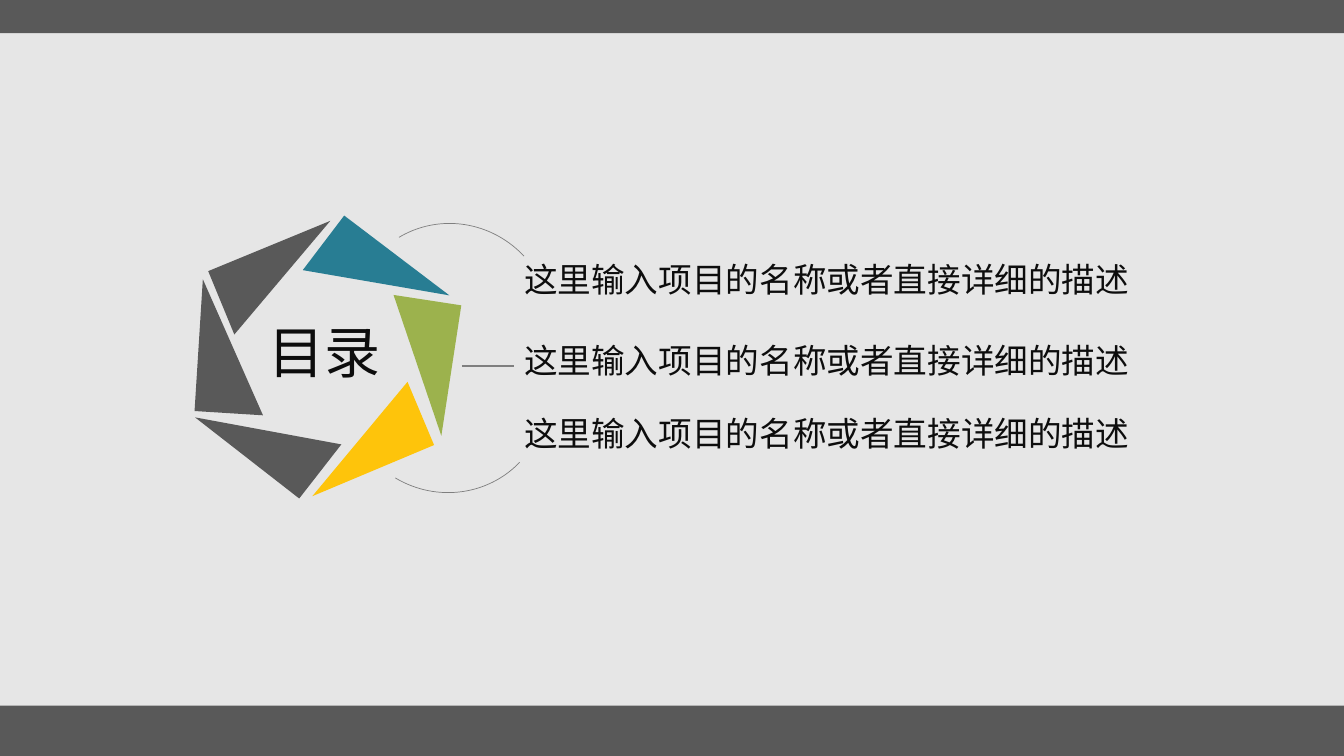
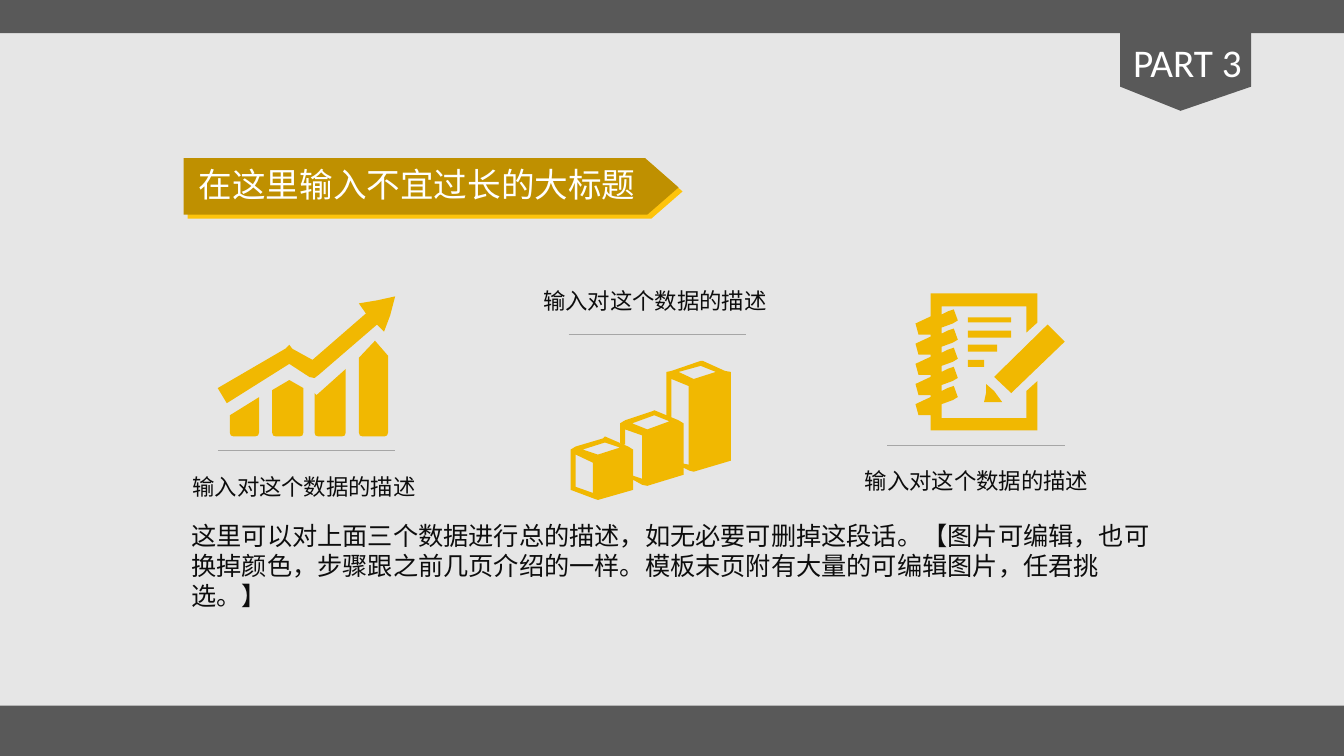
from lxml import etree
from pptx import Presentation
from pptx import util as u
from pptx.dml import color
from pptx.enum import shapes, text
from pptx.oxml import ns

Inches = u.Inches

# Shared look
BACKGROUND, DARK, INK, WHITE = "E6E6E6", "595959", "0D0D0D", "FFFFFF"
TEAL, GREEN, YELLOW, GOLD, OCHRE = "287D93", "9CB24D", "FEC40B", "F1B801", "BF9000"
GREY, LIGHT_GREY = "7F7F7F", "A6A6A6"
CJK, LATIN = "Noto Sans CJK SC", "Calibri"
BANDS = [(0, 0, 13.33, 0.33), (0, 7, 13.33, 0.5)]
FRAME_FORMAT = {
    "word_wrap": True,
    "auto_size": text.MSO_AUTO_SIZE.SHAPE_TO_FIT_TEXT,
    "vertical_anchor": text.MSO_ANCHOR.TOP,
    "margin_left": Inches(0.1), "margin_right": Inches(0.1),
    "margin_top": Inches(0.05), "margin_bottom": Inches(0.05),
}


def rgb(value):
    return color.RGBColor.from_string(value)


def set_all(target, values):
    for name, value in values.items():
        setattr(target, name, value)


def box(*lengths):
    return [Inches(length) for length in lengths]


# Element kinds
def paint(shape, fill):
    shape.shadow.inherit = False
    shape.fill.solid()
    shape.fill.fore_color.rgb = rgb(fill)
    shape.line.fill.background()


def add_filled(slide, kind, position, fill, rotation=0):
    shape = slide.shapes.add_shape(kind, *box(*position))
    shape.rotation = rotation
    paint(shape, fill)


def write_text(shape, words, size, ink=INK, font=CJK):
    frame = shape.text_frame
    set_all(frame, FRAME_FORMAT)
    paragraph = frame.paragraphs[0]
    paragraph.alignment = text.PP_ALIGN.LEFT
    run = paragraph.add_run()
    run.text = words
    set_all(run.font, {"size": u.Pt(size), "name": font})
    run.font.color.rgb = rgb(ink)
    etree.SubElement(run._r.get_or_add_rPr(), ns.qn("a:ea"), typeface=font)


def add_text(slide, position, words, size, **style):
    write_text(slide.shapes.add_textbox(*box(*position)), words, size, **style)


def place_title(slide, position, words, size, **style):
    title = slide.shapes.title
    set_all(title, dict(zip(("left", "top", "width", "height"), box(*position))))
    write_text(title, words, size, **style)
    # Bring the title in front of the shapes drawn so far
    title.element.getparent().append(title.element)


def add_line(slide, left, top, width, ink, weight):
    line = slide.shapes.add_connector(
        shapes.MSO_CONNECTOR.STRAIGHT, *box(left, top, left + width, top))
    line.line.color.rgb = rgb(ink)
    line.line.width = u.Pt(weight)
    etree.SubElement(line._element.spPr, ns.qn("a:effectLst"))


def add_arc(slide, position, rotation, sweep_end):
    arc = slide.shapes.add_shape(shapes.MSO_SHAPE.ARC, *box(*position))
    arc.shadow.inherit = False
    arc.rotation = rotation
    for index, degrees in enumerate((270, sweep_end)):
        arc.adjustments[index] = degrees * 0.6
    arc.fill.background()
    arc.line.color.rgb = rgb(GREY)
    arc.line.width = u.Pt(0.5)


def add_outline(slide, contours, fill):
    """Draw closed contours, given in inches, as one shape; inner ones are holes."""
    contours = [[(x * 100, y * 100) for x, y in contour] for contour in contours]
    builder = slide.shapes.build_freeform(*contours[0][0], scale=Inches(0.01))
    for index, (start, *rest) in enumerate(contours):
        if index:
            builder.move_to(*start)
        builder.add_line_segments(rest, close=True)
    paint(builder.convert_to_shape(), fill)


def rectangle(left, top, right, bottom):
    return [(left, top), (right, top), (right, bottom), (left, bottom)]


def new_slide(presentation):
    slide = presentation.slides.add_slide(presentation.slide_layouts[5])
    slide.background.fill.solid()
    slide.background.fill.fore_color.rgb = rgb(BACKGROUND)
    for band in BANDS:
        add_filled(slide, shapes.MSO_SHAPE.RECTANGLE, band, DARK)
    return slide


# Icons
def growth_icon():
    arrow = [(2.16, 3.85), (2.83, 3.46), (2.87, 3.42), (2.9, 3.46), (3.1, 3.57),
             (3.63, 3.11), (3.56, 3.01), (3.74, 2.98), (3.92, 2.94), (3.87, 3.13),
             (3.81, 3.29), (3.74, 3.22), (3.16, 3.72), (3.12, 3.75), (3.07, 3.74),
             (2.87, 3.61), (2.25, 4)]
    bar_tops = [
        [(2.28, 4.12), (2.57, 3.94)],
        [(2.7, 3.87), (2.87, 3.77), (3.01, 3.85)],
        [(3.12, 3.9), (3.14, 3.92), (3.43, 3.66)],
        [(3.56, 3.55), (3.72, 3.38), (3.85, 3.53)],
    ]
    bars = []
    for top in bar_tops:
        left, right = top[0][0], top[-1][0]
        bars.append(top + [
            (right, 4.29), (right - 0.01, 4.32), (right - 0.04, 4.33),
            (left + 0.04, 4.33), (left + 0.01, 4.32), (left, 4.29)])
    return [arrow] + bars


def blocks_icon():
    outline = [
        (6.15, 4.2), (6.2, 4.17), (6.47, 4.08), (6.49, 4.07), (6.61, 4.12),
        (6.61, 3.69), (6.66, 3.68), (6.95, 3.58), (6.97, 3.58), (7.19, 3.68),
        (7.25, 3.69), (7.25, 4.57), (6.88, 4.68), (6.84, 4.67), (6.78, 4.64),
        (6.78, 4.71), (6.42, 4.82), (6.37, 4.81), (6.28, 4.76), (6.28, 4.86),
        (5.93, 4.96), (5.9, 4.95), (5.66, 4.86), (5.66, 4.46), (5.71, 4.43),
        (5.98, 4.35), (6, 4.33), (6.23, 4.43), (6.28, 4.46), (6.28, 4.72),
        (6.37, 4.75), (6.37, 4.32), (6.2, 4.26), (6.2, 4.41), (6.15, 4.4)]
    lids = [
        [(6.73, 3.69), (6.88, 3.76), (7.1, 3.69), (6.95, 3.63)],
        [(6.27, 4.2), (6.42, 4.26), (6.64, 4.18), (6.49, 4.12)],
        [(5.78, 4.46), (5.93, 4.51), (6.15, 4.44), (6, 4.39)],
    ]
    sides = [
        [(5.88, 4.59), (5.71, 4.51), (5.71, 4.83), (5.88, 4.89)],
        [(6.66, 4.14), (6.73, 4.17), (6.78, 4.2), (6.78, 4.6), (6.83, 4.61),
         (6.83, 3.83), (6.66, 3.76)],
    ]
    return [outline] + lids + sides


def notebook_icon():
    inner_ring = [(9.34, 3.12), (9.4, 3.09), (9.46, 3.07), (9.5, 3.18),
                  (9.45, 3.21), (9.34, 3.25)]
    outer_ring = [(9.23, 4.12), (9.11, 4.12), (9.08, 4.01), (9.23, 3.94)]
    inner = [(x, y + 0.19 * ring) for ring in range(5) for x, y in inner_ring]
    outer = [(x, y - 0.2 * ring) for ring in range(5) for x, y in outer_ring]
    page = ([(9.23, 2.91), (10.29, 2.91), (10.29, 3.2), (10.18, 3.3),
             (10.18, 3.04), (9.34, 3.04)] + inner +
            [(9.34, 4.15), (10.18, 4.15), (10.18, 3.88), (10.29, 3.78),
             (10.29, 4.27), (9.23, 4.27)] + outer)
    writing = [rectangle(9.6, top, right, bottom) for top, right, bottom in (
        (3.15, 10.03, 3.2), (3.28, 10.03, 3.35),
        (3.42, 9.89, 3.49), (3.57, 9.76, 3.64))]
    tip = [(9.76, 3.99), (9.94, 3.99), (9.86, 3.88), (9.78, 3.81), (9.78, 3.9)]
    pencil = [(10.39, 3.22), (9.86, 3.74), (10.03, 3.9), (10.56, 3.39)]
    return [page, *writing, tip, pencil]


# Slides
def contents_slide(presentation):
    slide = new_slide(presentation)
    blades = [
        (1.97, 2.79, 3.6, DARK), (2.46, 2.1, 67.6, DARK), (3.39, 2.15, 127.2, TEAL),
        (3.8, 2.97, 188.7, GREEN), (3.23, 3.7, 247.2, YELLOW), (2.32, 3.62, 307.9, DARK),
    ]
    for left, top, rotation, fill in blades:
        add_filled(slide, shapes.MSO_SHAPE.RIGHT_TRIANGLE,
                   (left, top, 0.68, 1.31), fill, rotation)
    place_title(slide, (2.56, 3.1, 1.35, 0.77), "目录", 40)
    for top in (2.52, 3.32, 4.05):
        add_text(slide, (5.1, top, 6.29, 0.51), "这里输入项目的名称或者直接详细的描述", 24)
    add_arc(slide, (3.49, 2.21, 1.98, 2.03), 329, 347.4)
    add_arc(slide, (3.43, 2.87, 1.98, 2.03), 133.7, 346.6)
    add_line(slide, 4.58, 3.63, 0.52, GREY, 1)


def data_slide(presentation):
    slide = new_slide(presentation)
    # Part tag
    add_outline(slide, [[(11.11, 0.33), (12.41, 0.33), (12.41, 0.86),
                         (11.71, 1.1), (11.11, 0.86)]], DARK)
    add_text(slide, (11.14, 0.33, 1.37, 0.57), "PART 3", 28, ink=WHITE, font=LATIN)

    # Title banner over its offset underlay
    banner = [(1.82, 1.57), (6.4, 1.57), (6.73, 1.86), (6.42, 2.13), (1.82, 2.13)]
    for offset, fill in ((0.04, YELLOW), (0, OCHRE)):
        add_outline(slide, [[(x + offset, y + offset) for x, y in banner]], fill)
    place_title(slide, (1.87, 1.58, 5.05, 0.51), "在这里输入不宜过长的大标题", 24, ink=WHITE)

    # Icons with rule and caption
    columns = [
        (growth_icon(), 2.16, 4.47, 1.81, 4.64),
        (blocks_icon(), 5.64, 3.32, 5.29, 2.8),
        (notebook_icon(), 8.8, 4.42, 8.48, 4.59),
    ]
    for icon, rule_left, rule_top, caption_left, caption_top in columns:
        add_outline(slide, icon, GOLD)
        add_line(slide, rule_left, rule_top, 1.76, LIGHT_GREY, 0.5)
        add_text(slide, (caption_left, caption_top, 2.46, 0.37), "输入对这个数据的描述", 16)

    # Summary
    add_text(slide, (1.8, 5.11, 9.85, 0.71),
             "这里可以对上面三个数据进行总的描述，如无必要可删掉这段话。"
             "【图片可编辑，也可换掉颜色，步骤跟之前几页介绍的一样。"
             "模板末页附有大量的可编辑图片，任君挑选。】", 18)


def main():
    presentation = Presentation()
    presentation.slide_width = Inches(13.33)
    presentation.slide_height = Inches(7.5)
    contents_slide(presentation)
    data_slide(presentation)
    presentation.save("out.pptx")


if __name__ == "__main__":
    main()
